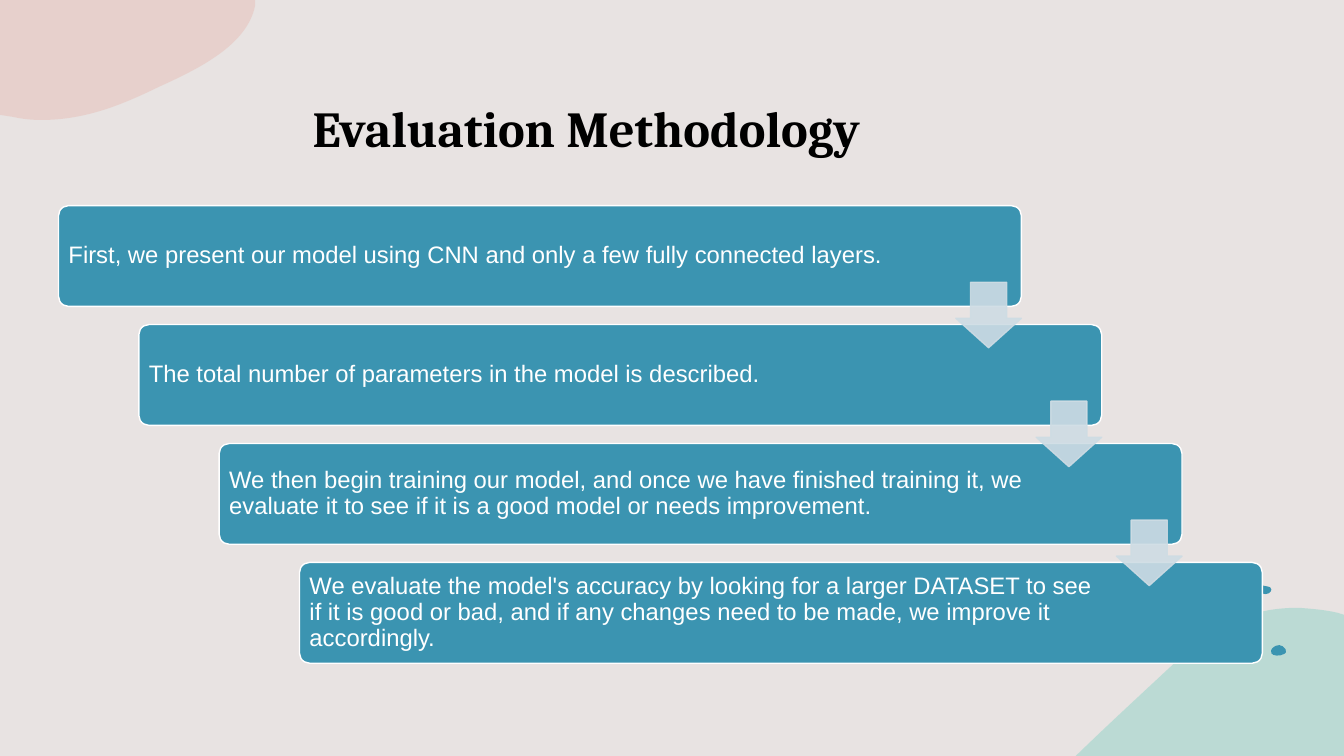
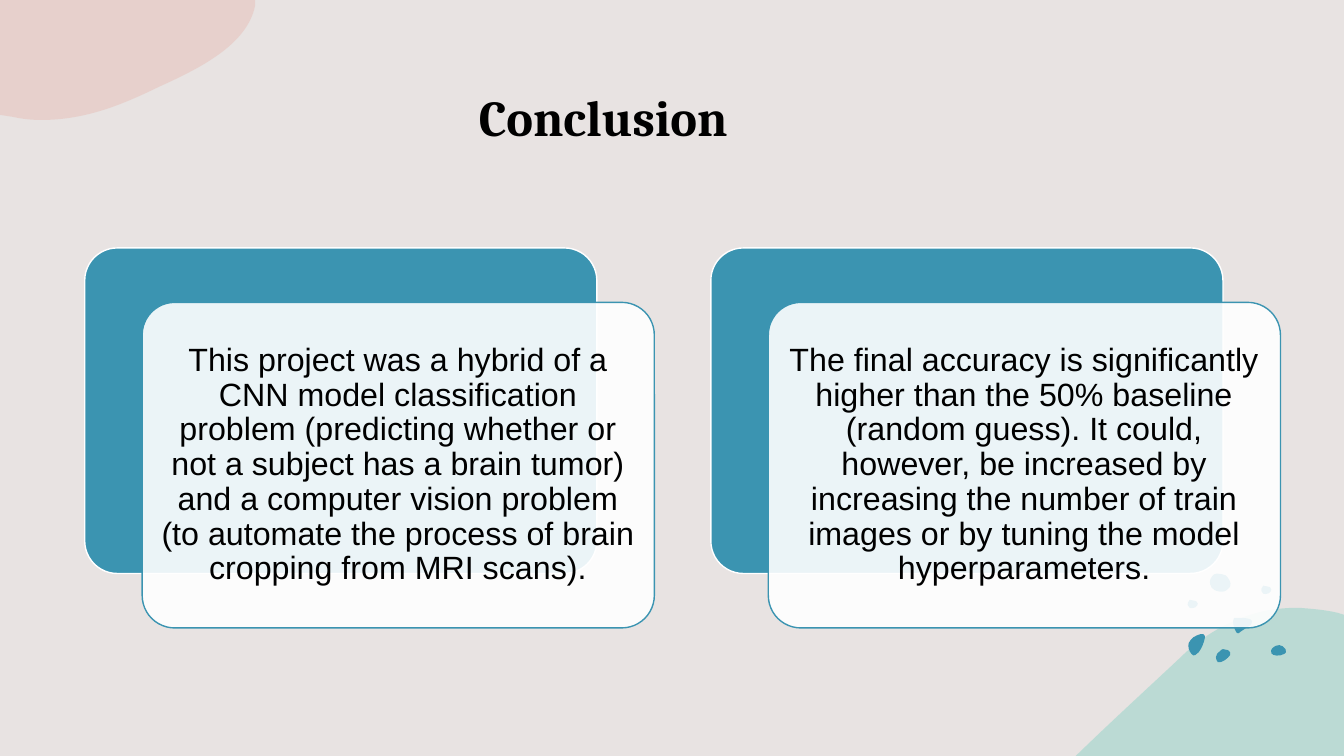
from dataclasses import dataclass

from pptx import Presentation
from pptx.dml.color import RGBColor
from pptx.enum.shapes import MSO_SHAPE
from pptx.enum.text import MSO_ANCHOR, MSO_AUTO_SIZE, PP_ALIGN
from pptx.oxml.ns import qn
from pptx.oxml.xmlchemy import OxmlElement
from pptx.presentation import Presentation as Deck
from pptx.shapes.base import BaseShape
from pptx.slide import Slide
from pptx.util import Inches, Pt

ROUNDED = MSO_SHAPE.ROUNDED_RECTANGLE
DOWN_ARROW = MSO_SHAPE.DOWN_ARROW
MIDDLE, BOTTOM = MSO_ANCHOR.MIDDLE, MSO_ANCHOR.BOTTOM
LEFT, CENTER = PP_ALIGN.LEFT, PP_ALIGN.CENTER
NO_AUTOFIT = MSO_AUTO_SIZE.NONE

BACKGROUND = "E8E3E2"
TEAL = "3B94B1"
MINT = "8FD3C7"
PINK = "E7BFB8"
ARROW = "CEDCE4"
WHITE = "FFFFFF"
BLACK = "000000"
TITLE_FONT, BODY_FONT = "Cambria", "Arial"
TITLE_ONLY = 5

# An outline starts with a point; pairs are lines, six values a Bézier curve.
Outline = list[tuple[float, ...]]


@dataclass(frozen=True)
class Blob:
    outline: Outline
    color: str = TEAL
    opacity: int = 100
    dx: float = 0
    dy: float = 0


@dataclass(frozen=True)
class Box:
    left: float
    top: float
    width: float
    height: float


@dataclass(frozen=True)
class Step:
    text: str
    right_margin: float = 1.52


MINT_HILL = Blob([
    (12.88, 6.03), (13.01, 6.04, 13.14, 6.05, 13.27, 6.08), (13.33, 6.1),
    (13.33, 7.5), (10.67, 7.5), (10.68, 7.49),
    (11.02, 7.16, 11.37, 6.84, 11.69, 6.54),
    (11.91, 6.32, 12.14, 6.19, 12.37, 6.11),
    (12.54, 6.05, 12.71, 6.03, 12.88, 6.03),
], MINT, 50)
PINK_CORNER = Blob([
    (0, 0), (2.53, 0), (2.53, 0.06), (2.45, 0.44, 2, 0.67, 1.58, 0.86),
    (1.23, 1.03, 0.86, 1.19, 0.41, 1.19), (0.31, 1.19, 0.22, 1.18, 0.13, 1.16),
    (0, 1.14), (0, 0),
], PINK, 50)

PEBBLE = [
    (12.51, 5.86), (12.51, 5.86, 12.51, 5.82, 12.53, 5.81),
    (12.55, 5.81, 12.56, 5.81, 12.58, 5.82),
    (12.59, 5.82, 12.61, 5.83, 12.61, 5.85),
    (12.61, 5.86, 12.6, 5.88, 12.59, 5.88),
    (12.59, 5.88, 12.59, 5.89, 12.57, 5.89),
    (12.56, 5.89, 12.54, 5.9, 12.53, 5.89),
    (12.52, 5.87, 12.51, 5.87, 12.51, 5.86),
]
EDGE_DOTS = [
    Blob([
        (12.13, 6.44), (12.15, 6.44, 12.16, 6.44, 12.18, 6.45),
        (12.2, 6.46, 12.21, 6.48, 12.2, 6.5),
        (12.18, 6.53, 12.12, 6.58, 12.08, 6.57),
        (12.07, 6.56, 12.06, 6.54, 12.06, 6.52),
        (12.06, 6.5, 12.08, 6.47, 12.1, 6.46),
        (12.11, 6.45, 12.12, 6.44, 12.13, 6.44),
    ]),
    Blob([
        (12.69, 6.4), (12.71, 6.4, 12.74, 6.42, 12.75, 6.44),
        (12.76, 6.46, 12.76, 6.48, 12.73, 6.49),
        (12.7, 6.51, 12.62, 6.51, 12.61, 6.48),
        (12.6, 6.46, 12.61, 6.44, 12.62, 6.43),
        (12.64, 6.41, 12.66, 6.4, 12.69, 6.4),
    ]),
    Blob(PEBBLE),
]
INNER_DOTS = [
    Blob([
        (11.91, 6.29), (11.93, 6.29, 11.95, 6.29, 11.95, 6.31),
        (11.95, 6.32, 11.95, 6.32, 11.95, 6.33),
        (11.94, 6.38, 11.92, 6.43, 11.89, 6.47),
        (11.87, 6.49, 11.84, 6.52, 11.82, 6.49),
        (11.79, 6.46, 11.78, 6.41, 11.79, 6.38),
        (11.8, 6.35, 11.82, 6.34, 11.84, 6.32),
        (11.85, 6.32, 11.88, 6.29, 11.91, 6.29),
    ]),
    Blob([
        (12.01, 5.81), (12, 5.81, 11.99, 5.75, 12.02, 5.72),
        (12.04, 5.7, 12.04, 5.69, 12.07, 5.69),
        (12.1, 5.69, 12.14, 5.7, 12.16, 5.71),
        (12.18, 5.73, 12.22, 5.78, 12.2, 5.82),
        (12.17, 5.85, 12.16, 5.87, 12.12, 5.87),
        (12.09, 5.87, 12.04, 5.86, 12.03, 5.84),
        (12.01, 5.83, 12.01, 5.82, 12.01, 5.81),
    ]),
    Blob(PEBBLE, dx=-0.73, dy=0.14),
    Blob([
        (12.28, 6.13), (12.34, 6.13, 12.45, 6.13, 12.41, 6.19),
        (12.41, 6.2, 12.4, 6.21, 12.39, 6.21),
        (12.36, 6.23, 12.33, 6.25, 12.3, 6.27),
        (12.29, 6.28, 12.28, 6.29, 12.27, 6.28),
        (12.27, 6.28, 12.26, 6.27, 12.26, 6.27),
        (12.24, 6.23, 12.23, 6.2, 12.23, 6.16),
        (12.23, 6.15, 12.23, 6.14, 12.24, 6.13),
        (12.24, 6.13, 12.25, 6.13, 12.25, 6.13),
        (12.26, 6.13, 12.27, 6.13, 12.28, 6.13),
    ]),
]

STEPS = [
    Step("First, we present our model using CNN and only a few fully connected layers.", 1.17),
    Step("The total number of parameters in the model is described."),
    Step("We then begin training our model, and once we have finished training it, "
         "we evaluate it to see if it is a good model or needs improvement."),
    Step("We evaluate the model's accuracy by looking for a larger DATASET to see if it is "
         "good or bad, and if any changes need to be made, we improve it accordingly."),
]
CONCLUSIONS = [
    "This project was a hybrid of a CNN model classification problem (predicting whether or "
    "not a subject has a brain tumor) and a computer vision problem (to automate the process "
    "of brain cropping from MRI scans).",
    "The final accuracy is significantly higher than the 50% baseline (random guess). It could, "
    "however, be increased by increasing the number of train images or by tuning the model "
    "hyperparameters.",
]


def rgb(color: str) -> RGBColor:
    return RGBColor.from_string(color)


def paint(sp: BaseShape, fill: str, line: str | None = None,
          fill_opacity: int = 100, line_opacity: int = 100) -> None:
    """Set fill, 1 pt line (or none) and opacities in percent; drop the shadow."""
    sp.shadow.inherit = False
    sp.fill.solid()
    sp.fill.fore_color.rgb = rgb(fill)
    if line:
        sp.line.color.rgb = rgb(line)
        sp.line.width = Pt(1)
    else:
        sp.line.fill.background()
    props = sp.element.spPr
    for parent, opacity in ((props.find(qn("a:solidFill")), fill_opacity),
                            (props.find(qn("a:ln")), line_opacity)):
        if opacity < 100:
            for color in parent.iter(qn("a:srgbClr")):
                alpha = OxmlElement("a:alpha")
                alpha.set("val", str(opacity * 1000))
                color.append(alpha)


def add_blob(s: Slide, blob: Blob) -> None:
    """Build the outline from its end points, then bend the curved segments."""
    parts = [[(Inches(x + blob.dx), Inches(y + blob.dy))
              for x, y in zip(part[::2], part[1::2])] for part in blob.outline]
    builder = s.shapes.build_freeform(*parts[0][-1])
    builder.add_line_segments([part[-1] for part in parts[1:]], close=False)
    sp = builder.convert_to_shape()
    segments = list(sp.element.spPr.iter(qn("a:lnTo")))
    for segment, part in zip(segments, parts[1:]):
        if len(part) == 1:
            continue
        curve = OxmlElement("a:cubicBezTo")
        for x, y in part:
            pt = OxmlElement("a:pt")
            pt.set("x", str(x - sp.left))
            pt.set("y", str(y - sp.top))
            curve.append(pt)
        segment.getparent().replace(segment, curve)
    paint(sp, blob.color, fill_opacity=blob.opacity)


def add_card(s: Slide, box: Box, fill: str, line: str, opacity: int = 100) -> BaseShape:
    sp = s.shapes.add_shape(ROUNDED, Inches(box.left), Inches(box.top),
                            Inches(box.width), Inches(box.height))
    sp.adjustments[0] = 0.1
    paint(sp, fill, line, opacity)
    return sp


def write(sp: BaseShape, text: str, size: int, color: str, align: PP_ALIGN,
          margin: float, right_margin: float) -> None:
    tf = sp.text_frame
    tf.word_wrap = True
    tf.vertical_anchor = MIDDLE
    tf.margin_left = tf.margin_top = tf.margin_bottom = Inches(margin)
    tf.margin_right = Inches(right_margin)
    p = tf.paragraphs[0]
    p.text = text
    p.alignment = align
    p.line_spacing = 0.9
    p.font.name = BODY_FONT
    p.font.size = Pt(size)
    p.font.color.rgb = rgb(color)


def add_slide(prs: Deck, title: str, title_box: Box, dots: list[Blob]) -> Slide:
    s = prs.slides.add_slide(prs.slide_layouts[TITLE_ONLY])
    for blob in [MINT_HILL, *dots, PINK_CORNER]:
        add_blob(s, blob)
    sp = s.shapes.title
    sp.left, sp.top = Inches(title_box.left), Inches(title_box.top)
    sp.width, sp.height = Inches(title_box.width), Inches(title_box.height)
    tf = sp.text_frame
    tf.auto_size = NO_AUTOFIT
    tf.vertical_anchor = BOTTOM
    p = tf.paragraphs[0]
    p.text = title
    p.alignment = LEFT
    p.font.name = TITLE_FONT
    p.font.size = Pt(36)
    p.font.bold = True
    p.font.color.rgb = rgb(BLACK)
    return s


def add_methodology(prs: Deck) -> None:
    s = add_slide(prs, "Evaluation Methodology", Box(3, 0.85, 8.6, 0.76), EDGE_DOTS)
    first_left, last_left = 0.58, 2.97
    indent = (last_left - first_left) / (len(STEPS) - 1)
    boxes = [Box(first_left + indent * i, 2.04 + 1.18 * i, 9.55, 1) for i in range(len(STEPS))]
    for step, box in zip(STEPS, boxes):
        card = add_card(s, box, TEAL, WHITE)
        write(card, step.text, 17, WHITE, LEFT, 0.07, step.right_margin)
    size = 0.65
    for box in boxes[:-1]:
        arrow = s.shapes.add_shape(DOWN_ARROW, Inches(box.left + box.width - size),
                                   Inches(box.top + 0.76), Inches(size), Inches(size))
        arrow.adjustments[0], arrow.adjustments[1] = 0.55, 0.45
        paint(arrow, ARROW, ARROW, 90, 90)


def add_conclusion(prs: Deck) -> None:
    s = add_slide(prs, "Conclusion", Box(4.65, 0.46, 6.95, 1.04), EDGE_DOTS + INNER_DOTS)
    for i, text in enumerate(CONCLUSIONS):
        left = 0.84 + 6.21 * i
        add_card(s, Box(left, 2.46, 5.08, 3.23), TEAL, WHITE)
        card = add_card(s, Box(left + 0.57, 3, 5.08, 3.23), WHITE, TEAL, 90)
        write(card, text, 23, BLACK, CENTER, 0.08, 0.08)


def main() -> None:
    prs = Presentation()
    prs.slide_width, prs.slide_height = Inches(13.33), Inches(7.5)
    fill = prs.slide_master.background.fill
    fill.solid()
    fill.fore_color.rgb = rgb(BACKGROUND)
    add_methodology(prs)
    add_conclusion(prs)
    prs.save("out.pptx")


if __name__ == "__main__":
    main()
